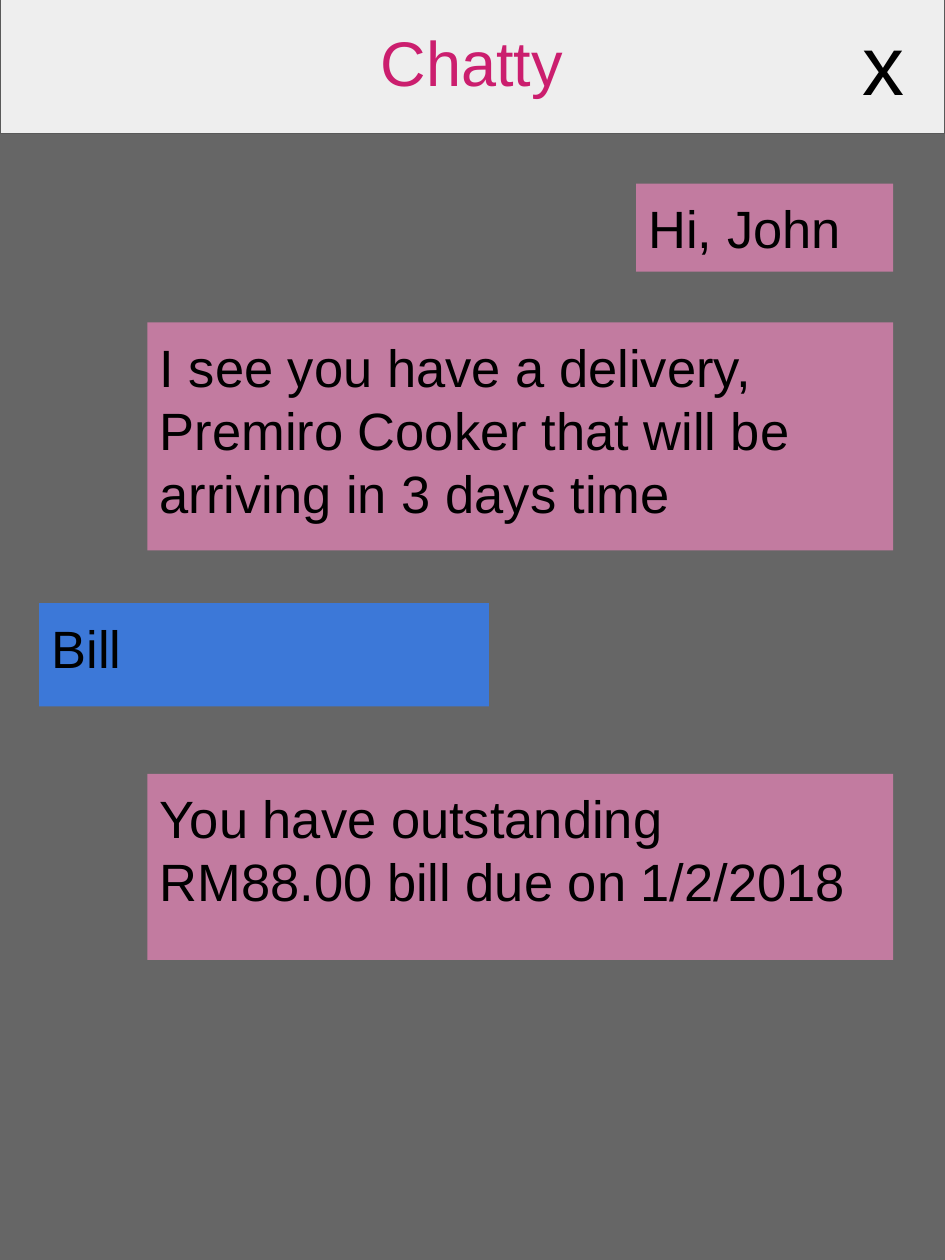
import pptx
import pptx.dml.color
import pptx.enum.shapes
import pptx.enum.text
import pptx.util

Pt = pptx.util.Pt
RGBColor = pptx.dml.color.RGBColor
ALIGN = pptx.enum.text.PP_ALIGN

GREY = RGBColor(0x66, 0x66, 0x66)
PALE = RGBColor(0xEE, 0xEE, 0xEE)
EDGE = RGBColor(0x59, 0x59, 0x59)
BLACK = RGBColor(0, 0, 0)
MAGENTA = RGBColor(0xCB, 0x1E, 0x6E)
PINK = RGBColor(0xC2, 0x7B, 0xA0)
BLUE = RGBColor(0x3C, 0x78, 0xD8)


class ChatSlide:
    """Draws the header, labels and message bubbles of a chat screen."""

    font = "Arial"
    frame = {
        "word_wrap": True,
        "vertical_anchor": pptx.enum.text.MSO_ANCHOR.TOP,
        "margin_left": Pt(7.2),
        "margin_right": Pt(7.2),
        "margin_top": Pt(7.2),
        "margin_bottom": Pt(7.2),
    }

    def __init__(self, prs):
        self.s = prs.slides.add_slide(prs.slide_layouts[6])
        fill = self.s.background.fill
        fill.solid()
        fill.fore_color.rgb = GREY

    def set_text(self, sp, text, size, color, align):
        tf = sp.text_frame
        for name, value in self.frame.items():
            setattr(tf, name, value)
        p = tf.paragraphs[0]
        p.alignment = align
        r = p.add_run()
        r.text = text
        for name, value in {"name": self.font, "size": Pt(size)}.items():
            setattr(r.font, name, value)
        r.font.color.rgb = color

    def box(self, x, y, w, h, fill, line=None):
        kind = pptx.enum.shapes.MSO_SHAPE.RECTANGLE
        sp = self.s.shapes.add_shape(kind, Pt(x), Pt(y), Pt(w), Pt(h))
        sp.shadow.inherit = False
        sp.fill.solid()
        sp.fill.fore_color.rgb = fill
        if line is None:
            sp.line.fill.background()
        else:
            sp.line.color.rgb = line
            sp.line.width = Pt(0.75)
        return sp

    def label(self, x, y, w, h, text, size, color):
        sp = self.s.shapes.add_textbox(Pt(x), Pt(y), Pt(w), Pt(h))
        self.set_text(sp, text, size, color, ALIGN.CENTER)

    def bubble(self, x, y, w, h, text, fill):
        sp = self.box(x, y, w, h, fill)
        self.set_text(sp, text, 30, BLACK, ALIGN.LEFT)

    def sent(self, y, w, h, text):
        right = 510.4
        self.bubble(right - w, y, w, h, text, PINK)

    def reply(self, y, w, h, text):
        self.bubble(22.4, y, w, h, text, BLUE)


def main():
    prs = pptx.Presentation()
    prs.slide_width, prs.slide_height = Pt(540), Pt(720)
    chat = ChatSlide(prs)
    chat.box(0, -0.7, 540, 77, PALE, EDGE)
    chat.label(480.2, -0.7, 49, 50.4, "x", 48, BLACK)
    chat.label(103.7, 6.5, 331.9, 50.4, "Chatty", 36, MAGENTA)
    chat.sent(104.9, 146.9, 50.4, "Hi, John")
    chat.sent(184.2, 426.2, 130.3,
              "I see you have a delivery, Premiro Cooker that will be "
              "arriving in 3 days time")
    chat.reply(344.7, 257, 59, "Bill")
    chat.sent(442.2, 426.2, 106.4,
              "You have outstanding RM88.00 bill due on 1/2/2018")
    prs.save("out.pptx")


if __name__ == "__main__":
    main()
